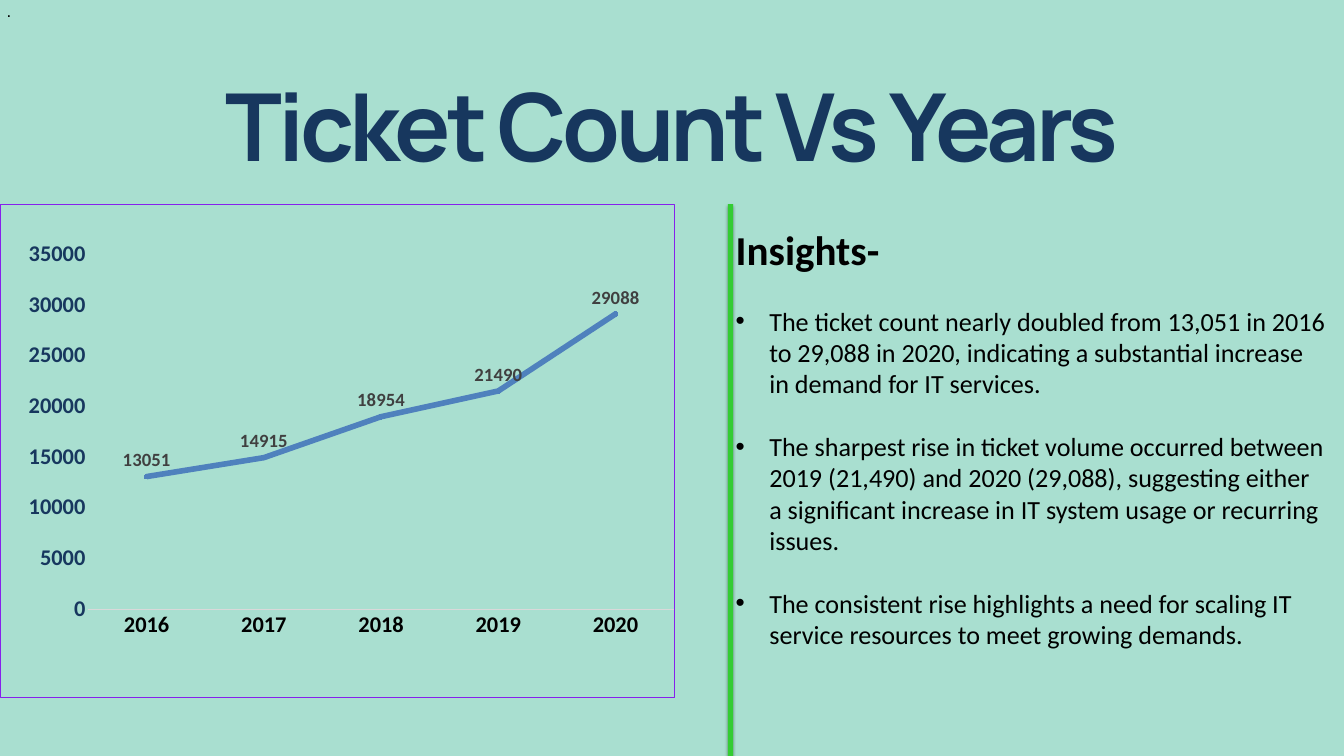
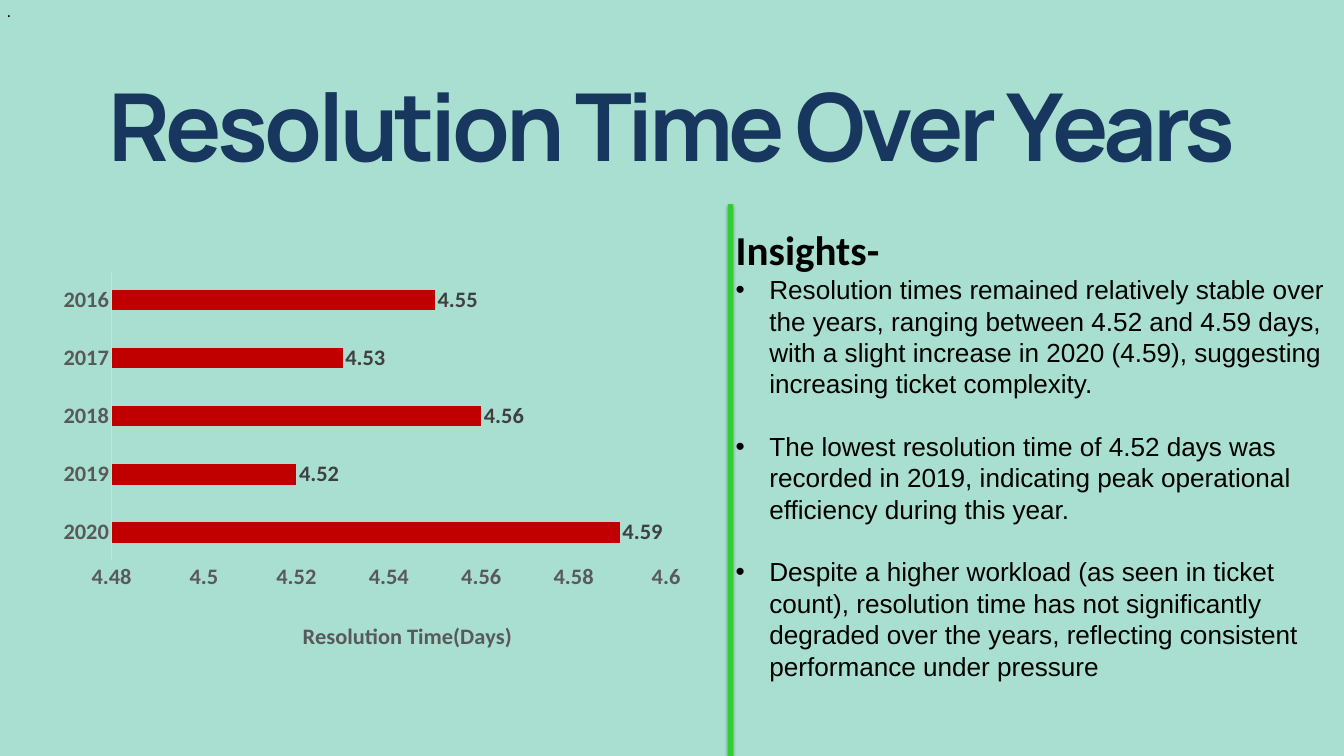
import lxml.etree
import pptx
import pptx.chart.data
import pptx.dml.color
import pptx.enum.chart
import pptx.enum.shapes
import pptx.enum.text
import pptx.oxml
import pptx.oxml.ns
import pptx.util

Cm, Pt = pptx.util.Cm, pptx.util.Pt
qn = pptx.oxml.ns.qn
CHART = pptx.enum.chart
ANCHOR = pptx.enum.text.MSO_ANCHOR
TITLE_ONLY = 5

MINT, NAVY, GREEN, BLACK = "A9DFD0", "17375E", "33CC33", "000000"
BLUE, RED, PURPLE = "4F81BD", "C00000", "8620EC"
LABEL_GREY, AXIS_GREY, LINE_GREY = "404040", "595959", "D9D9D9"
BODY_FONT, TITLE_FONT, PLAIN_FONT = "Calibri", "Manrope", "Arial"
BULLET_PITCH = Pt(33.6)


def color(hex_string):
    return pptx.dml.color.RGBColor.from_string(hex_string)


def parse_xml(xml):
    """Parse a fragment that uses the a: and c: prefixes."""
    root = f'<root {pptx.oxml.ns.nsdecls("a", "c")}>{xml}</root>'
    return pptx.oxml.parse_xml(root)[0]


def style_font(font, size, hex_string=BLACK, name=BODY_FONT, bold=True):
    font.size, font.name, font.bold = Pt(size), name, bold
    font.color.rgb = color(hex_string)


def write(paragraph, text, spacing=None, **font_format):
    """Add a formatted run; spacing is the letter spacing in points."""
    run = paragraph.add_run()
    run.text = text
    style_font(run.font, **font_format)
    if spacing is not None:
        run.font._element.set("spc", str(round(spacing * 100)))


def manual_layout(x, y, width=None, height=None):
    target = '<c:layoutTarget val="inner"/>' if width else ""
    parts = {"x": x, "y": y, "w": width, "h": height}
    modes = '<c:xMode val="edge"/><c:yMode val="edge"/>'
    values = "".join(f'<c:{key} val="{value}"/>'
                     for key, value in parts.items() if value is not None)
    return parse_xml(f"<c:layout><c:manualLayout>{target}{modes}{values}"
                     "</c:manualLayout></c:layout>")


class Deck:
    def __init__(self):
        self.presentation = pptx.Presentation()
        self.presentation.slide_width = Cm(50.8)
        self.presentation.slide_height = Cm(28.575)
        background = self.presentation.slide_master.background.fill
        background.solid()
        background.fore_color.rgb = color(MINT)
        self.slide = None

    def add_slide(self, title):
        """Start a slide with its title, divider and corner dot."""
        layout = self.presentation.slide_layouts[TITLE_ONLY]
        self.slide = self.presentation.slides.add_slide(layout)
        self.format_title(title)
        self.add_divider()
        self.add_corner_dot()

    def format_title(self, text):
        shape = self.slide.shapes.title
        shape.left, shape.top = Cm(3.12), Cm(3.63)
        shape.width, shape.height = Cm(44.55), Cm(3.25)
        frame = shape.text_frame
        frame.margin_left = frame.margin_right = 0
        frame.margin_top = frame.margin_bottom = 0
        frame.vertical_anchor = ANCHOR.TOP
        frame.auto_size = pptx.enum.text.MSO_AUTO_SIZE.NONE
        paragraph = frame.paragraphs[0]
        paragraph.alignment = pptx.enum.text.PP_ALIGN.CENTER
        paragraph.line_spacing = Pt(90.4)
        write(paragraph, text, size=100.4, hex_string=NAVY,
              name=TITLE_FONT, spacing=-4.6)

    def add_divider(self):
        shape = self.slide.shapes.add_shape(
            pptx.enum.shapes.MSO_SHAPE.RECTANGLE,
            Cm(27.51), Cm(7.72), Cm(0.2), Cm(20.85))
        shape.fill.solid()
        shape.fill.fore_color.rgb = color(GREEN)
        shape.line.fill.background()
        shape.shadow.inherit = False
        effects = shape._element.spPr.find(qn("a:effectLst"))
        effects.append(parse_xml(
            f'<a:outerShdw blurRad="{Pt(3.1)}" dist="{Pt(1.8)}" dir="5400000"'
            f' rotWithShape="0"><a:srgbClr val="{BLACK}">'
            '<a:alpha val="35000"/></a:srgbClr></a:outerShdw>'))

    def add_corner_dot(self):
        box = self.slide.shapes.add_textbox(Cm(0), Cm(-0.89), Cm(0.86), Cm(1.8))
        frame = box.text_frame
        frame.word_wrap = False
        frame.vertical_anchor = ANCHOR.BOTTOM
        write(frame.paragraphs[0], ".", size=18, name=PLAIN_FONT, bold=False)

    def add_insights(self, insights, height, font=BODY_FONT, gap_first=True):
        box = self.slide.shapes.add_textbox(
            Cm(27.56), Cm(8.36), Cm(22.86), Cm(height))
        frame = box.text_frame
        frame.word_wrap = True
        write(frame.paragraphs[0], "Insights-", size=44)
        for index, insight in enumerate(insights):
            paragraph = frame.add_paragraph()
            paragraph.line_spacing = BULLET_PITCH
            if index or gap_first:
                paragraph.space_before = BULLET_PITCH
            self.add_bullet(paragraph)
            write(paragraph, insight, size=28, name=font, bold=False)

    def add_bullet(self, paragraph):
        properties = paragraph._element.get_or_add_pPr()
        properties.set("marL", str(Cm(1.27)))
        properties.set("indent", str(-Cm(1.27)))
        properties.append(parse_xml(f'<a:buFont typeface="{PLAIN_FONT}"/>'))
        properties.append(parse_xml('<a:buChar char="•"/>'))

    def add_chart(self, kind, place, values_by_year, plot_layout, border=None):
        data = pptx.chart.data.CategoryChartData()
        data.categories = list(values_by_year)
        data.add_series("Series 1", values_by_year.values())
        chart = self.slide.shapes.add_chart(
            kind, *(Cm(length) for length in place), data).chart
        chart.has_legend = chart.has_title = False
        style_font(chart.font, 18)
        chart.plots[0].vary_by_categories = False

        line = "<a:noFill/>"
        if border:
            line = f'<a:solidFill><a:srgbClr val="{border}"/></a:solidFill>'
        chart_element = chart._chartSpace.find(qn("c:chart"))
        chart_element.addnext(parse_xml(
            f'<c:spPr><a:noFill/><a:ln w="{Pt(1)}">{line}</a:ln></c:spPr>'))
        plot_area = chart_element.find(qn("c:plotArea"))
        for layout in plot_area.findall(qn("c:layout")):
            plot_area.remove(layout)
        plot_area.insert(0, manual_layout(*plot_layout))
        plot_area.append(parse_xml("<c:spPr><a:noFill/></c:spPr>"))
        return chart

    def format_axes(self, chart, category_color, value_color, scale):
        for axis, hex_string in ((chart.category_axis, category_color),
                                 (chart.value_axis, value_color)):
            axis.has_major_gridlines = False
            axis.major_tick_mark = CHART.XL_TICK_MARK.NONE
            axis.minor_tick_mark = CHART.XL_TICK_MARK.NONE
            style_font(axis.tick_labels.font, 24, hex_string)
        chart.category_axis.format.line.color.rgb = color(LINE_GREY)
        chart.category_axis.format.line.width = Pt(0.75)
        axis = chart.value_axis
        axis.format.line.fill.background()
        axis.minimum_scale, axis.maximum_scale, axis.major_unit = scale
        axis.tick_labels.number_format = "General"
        axis.tick_labels.number_format_is_linked = False

    def add_data_labels(self, chart, size, position, number_format="General"):
        labels = chart.plots[0].series[0].data_labels
        labels.show_value = True
        labels.position = position
        labels.number_format = number_format
        labels.number_format_is_linked = False
        style_font(labels.font, size, LABEL_GREY)

    def add_ticket_chart(self, tickets):
        chart = self.add_chart(
            CHART.XL_CHART_TYPE.LINE_MARKERS, (0, 7.72, 25.5, 18.67), tickets,
            (0.13, 0.1, 0.87, 0.72), border=PURPLE)
        self.format_axes(chart, BLACK, NAVY, (0, 35000, 5000))
        series = chart.plots[0].series[0]
        series.smooth = False
        series.format.line.color.rgb = color(BLUE)
        series.format.line.width = Pt(6)
        series.marker.style = CHART.XL_MARKER_STYLE.CIRCLE
        series.marker.size = 5
        series.marker.format.fill.solid()
        series.marker.format.fill.fore_color.rgb = color(BLUE)
        series.marker.format.line.color.rgb = color(BLUE)
        self.add_data_labels(chart, 20, CHART.XL_LABEL_POSITION.ABOVE)

    def add_resolution_chart(self, days):
        chart = self.add_chart(
            CHART.XL_CHART_TYPE.BAR_CLUSTERED, (0, 6.88, 26.87, 17.98), days,
            (0.157, 0.19, 0.78, 0.62))
        self.format_axes(chart, AXIS_GREY, AXIS_GREY, (4.48, 4.6, 0.02))
        chart.plots[0].gap_width = 182
        fill = chart.plots[0].series[0].format.fill
        fill.solid()
        fill.fore_color.rgb = color(RED)
        self.add_data_labels(chart, 24, CHART.XL_LABEL_POSITION.OUTSIDE_END,
                             "#,##0.00")
        title = chart.value_axis.axis_title
        write(title.text_frame.paragraphs[0], "Resolution Time(Days)",
              size=24, hex_string=AXIS_GREY)
        for layout in title._element.findall(qn("c:layout")):
            title._element.remove(layout)
        title._element.find(qn("c:tx")).addnext(manual_layout(0.42, 0.93))


def main():
    deck = Deck()

    deck.add_slide("Ticket Count Vs Years")
    deck.add_insights([
        "The ticket count nearly doubled from 13,051 in 2016 to 29,088 in 2020, "
        "indicating a substantial increase in demand for IT services.",
        "The sharpest rise in ticket volume occurred between 2019 (21,490) and "
        "2020 (29,088), suggesting either a significant increase in IT system "
        "usage or recurring issues.",
        "The consistent rise highlights a need for scaling IT service resources "
        "to meet growing demands.",
    ], height=19.23)
    deck.add_ticket_chart({"2016": 13051, "2017": 14915, "2018": 18954,
                           "2019": 21490, "2020": 29088})

    deck.add_slide("Resolution Time Over Years")
    deck.add_insights([
        "Resolution times remained relatively stable over the years, ranging "
        "between 4.52 and 4.59 days, with a slight increase in 2020 (4.59), "
        "suggesting increasing ticket complexity.",
        "The lowest resolution time of 4.52 days was recorded in 2019, "
        "indicating peak operational efficiency during this year.",
        "Despite a higher workload (as seen in ticket count), resolution time "
        "has not significantly degraded over the years, reflecting consistent "
        "performance under pressure",
    ], height=20.2, font=PLAIN_FONT, gap_first=False)
    deck.add_resolution_chart({"2020": 4.59, "2019": 4.52, "2018": 4.56,
                               "2017": 4.53, "2016": 4.55})

    deck.presentation.save("out.pptx")


if __name__ == "__main__":
    main()
